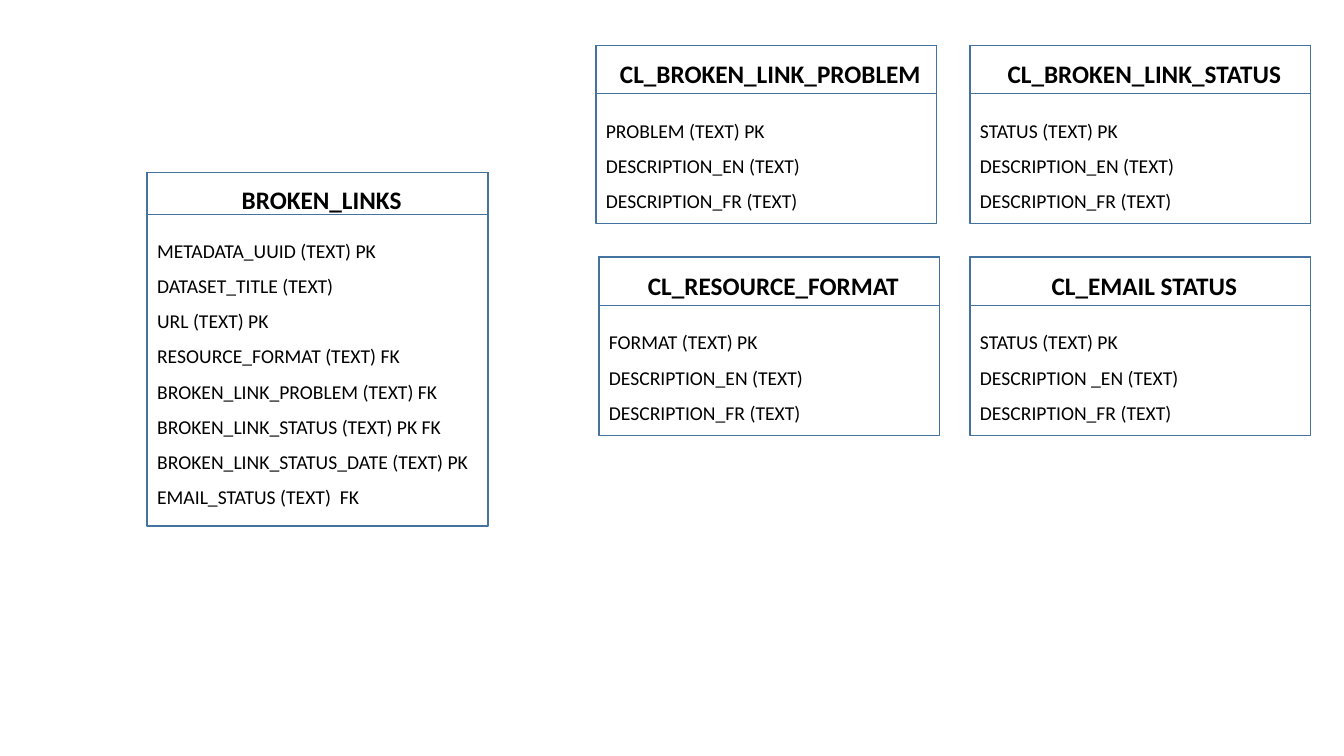
from dataclasses import dataclass
from pptx import Presentation
from pptx.dml.color import RGBColor
from pptx.enum.shapes import MSO_SHAPE
from pptx.enum.text import PP_ALIGN
from pptx.util import Inches, Pt

RECT = MSO_SHAPE.RECTANGLE
LEFT, CENTER = PP_ALIGN.LEFT, PP_ALIGN.CENTER
COLORS = {"line": "43739E", "text": "000000"}
FONT = "Calibri"
WIDTH = 3.38
INSET = 0.08


@dataclass
class Entity:
    name: str
    left: float
    top: float
    fields: list[str]
    height: float = 1.77
    head: float = 0.48
    gap: float = 0.08


def add_box(left: float, top: float, height: float) -> None:
    box = slide.shapes.add_shape(
        RECT, Inches(left), Inches(top), Inches(WIDTH), Inches(height))
    box.shadow.inherit = False
    box.fill.background()
    box.line.color.rgb = RGBColor.from_string(COLORS["line"])
    box.line.width = Pt(1)


def add_text(lines: list[str], left: float, top: float,
             width: float, height: float, *, size: int, bold: bool = False,
             align: PP_ALIGN = LEFT, spacing: float = 1.0) -> None:
    frame = slide.shapes.add_textbox(
        Inches(left), Inches(top), Inches(width), Inches(height)).text_frame
    frame.word_wrap = True
    frame.text = "\n".join(lines)
    for para in frame.paragraphs:
        para.alignment = align
        para.line_spacing = spacing
        for run in para.runs:
            run.font.name = FONT
            run.font.size = Pt(size)
            run.font.bold = bold
            run.font.color.rgb = RGBColor.from_string(COLORS["text"])


def add_entity(entity: Entity) -> None:
    left, top = entity.left, entity.top
    add_box(left, top, entity.height)
    add_text([entity.name], left + INSET, top + entity.gap,
             WIDTH - INSET, 0.4, size=18, bold=True, align=CENTER)
    add_box(left, top, entity.head)
    add_text(entity.fields, left, top + entity.head + entity.gap,
             WIDTH, 0.4 * len(entity.fields), size=14, spacing=1.5)


LABELS = ["DESCRIPTION_EN (TEXT)", "DESCRIPTION_FR (TEXT)"]
RIGHT = 9.62
UPPER, LOWER = 0.45, 2.55
ENTITIES = [
    Entity("BROKEN_LINKS", 1.46, 1.71, [
        "METADATA_UUID (TEXT) PK",
        "DATASET_TITLE (TEXT)",
        "URL (TEXT) PK",
        "RESOURCE_FORMAT (TEXT) FK",
        "BROKEN_LINK_PROBLEM (TEXT) FK",
        "BROKEN_LINK_STATUS (TEXT) PK FK",
        "BROKEN_LINK_STATUS_DATE (TEXT) PK",
        "EMAIL_STATUS (TEXT)  FK",
    ], height=3.51, head=0.42, gap=0.07),
    Entity("CL_BROKEN_LINK_PROBLEM", 5.91, UPPER,
           ["PROBLEM (TEXT) PK", *LABELS]),
    Entity("CL_BROKEN_LINK_STATUS", RIGHT, UPPER,
           ["STATUS (TEXT) PK", *LABELS]),
    Entity("CL_RESOURCE_FORMAT", 5.94, LOWER,
           ["FORMAT (TEXT) PK", *LABELS]),
    Entity("CL_EMAIL STATUS", RIGHT, LOWER,
           ["STATUS (TEXT) PK", "DESCRIPTION _EN (TEXT)", LABELS[1]]),
]

deck = Presentation()
deck.slide_width, deck.slide_height = Inches(13.33), Inches(7.5)
slide = deck.slides.add_slide(deck.slide_layouts.get_by_name("Blank"))
for entity in ENTITIES:
    add_entity(entity)
deck.save("out.pptx")
